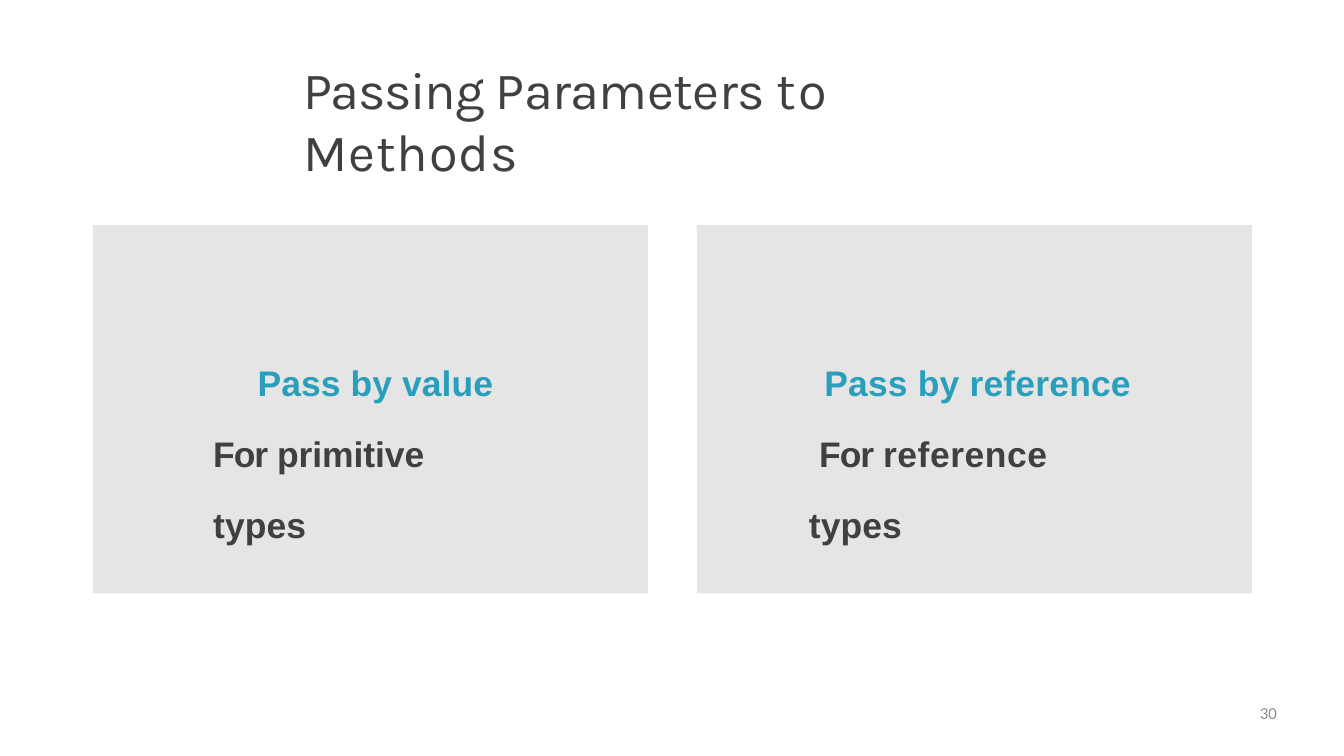
from dataclasses import dataclass
from pptx import Presentation, util as u
from pptx.dml.color import RGBColor
from pptx.enum import shapes, text


@dataclass(frozen=True)
class Theme:
    ink: str = "404040"
    accent: str = "2A9FBC"
    panel: str = "E5E5E5"
    muted: str = "8C8C8C"
    title: float = 56
    body: float = 38
    small: float = 18


def write(para, runs, font, size, color, bold=False, align="LEFT", left=0, indent=0, line=None):
    para.alignment = getattr(text.PP_ALIGN, align)
    props = para._p.get_or_add_pPr()
    props.set("marL", str(int(u.Pt(left))))
    props.set("indent", str(int(u.Pt(indent))))
    if line:
        para.line_spacing = line
    for words, gap in runs:
        run = para.add_run()
        run.text = words
        run.font.name, run.font.size, run.font.bold = font, u.Pt(size), bold
        run.font.color.rgb = RGBColor.from_string(color)
        run._r.get_or_add_rPr().set("spc", str(round(gap * 100)))


class Deck:
    """Draws the elements of one slide in a shared theme."""

    def __init__(self, theme):
        self.theme = theme
        self.file = Presentation()
        self.file.slide_width, self.file.slide_height = u.Pt(1440), u.Pt(810)
        self.slide = self.file.slides.add_slide(self.file.slide_layouts[6])

    def frame(self, shape, top=0, right=0):
        frame = shape.text_frame
        frame.word_wrap = True
        frame.vertical_anchor = text.MSO_ANCHOR.TOP
        frame.margin_left = frame.margin_bottom = 0
        frame.margin_top, frame.margin_right = u.Pt(top), u.Pt(right)
        return frame

    def label(self, box, runs, top=0, **form):
        shape = self.slide.shapes.add_textbox(*map(u.Pt, box))
        write(self.frame(shape, top).paragraphs[0], runs, **form)

    def card(self, box, head, body, left, right, shift, start):
        shape = self.slide.shapes.add_shape(shapes.MSO_SHAPE.RECTANGLE, *map(u.Pt, box))
        shape.shadow.inherit = False
        shape.fill.solid()
        shape.fill.fore_color.rgb = RGBColor.from_string(self.theme.panel)
        shape.line.fill.background()
        frame = self.frame(shape, 115, right)
        form = dict(font="Arial", size=self.theme.body, bold=True, left=left, line=1.67)
        write(frame.paragraphs[0], head, color=self.theme.accent, indent=shift, **form)
        write(frame.add_paragraph(), body, color=self.theme.ink, indent=start, **form)


def main():
    theme = Theme()
    deck = Deck(theme)
    deck.label((324.7, 59, 791.3, 69),
               [("Passing ", -1.4), ("Parameters ", -0.6), ("to ", 2.1), ("Methods", 1.1)],
               top=2, font="Karla", size=theme.title, color=theme.ink)
    cards = [
        ("value", 0.1, "primitive ", -0.1, 129, 147, 47.5, 0),
        ("reference", 0.2, "reference ", 0.6, 120, 120, 16.5, 11),
    ]
    for col, (mode, gap, kind, space, *place) in enumerate(cards):
        deck.card((99.4 + col * 647.3, 241.2, 594.7, 394.6),
                  [("Pass by " + mode, gap)],
                  [("For ", -1.1), (kind, space), ("types", 0.1)], *place)
    deck.label((1036.8, 753, 331.2, 40), [("30", 0)],
               font="Calibri", size=theme.small, color=theme.muted, align="RIGHT")
    deck.file.save("out.pptx")


if __name__ == "__main__":
    main()
